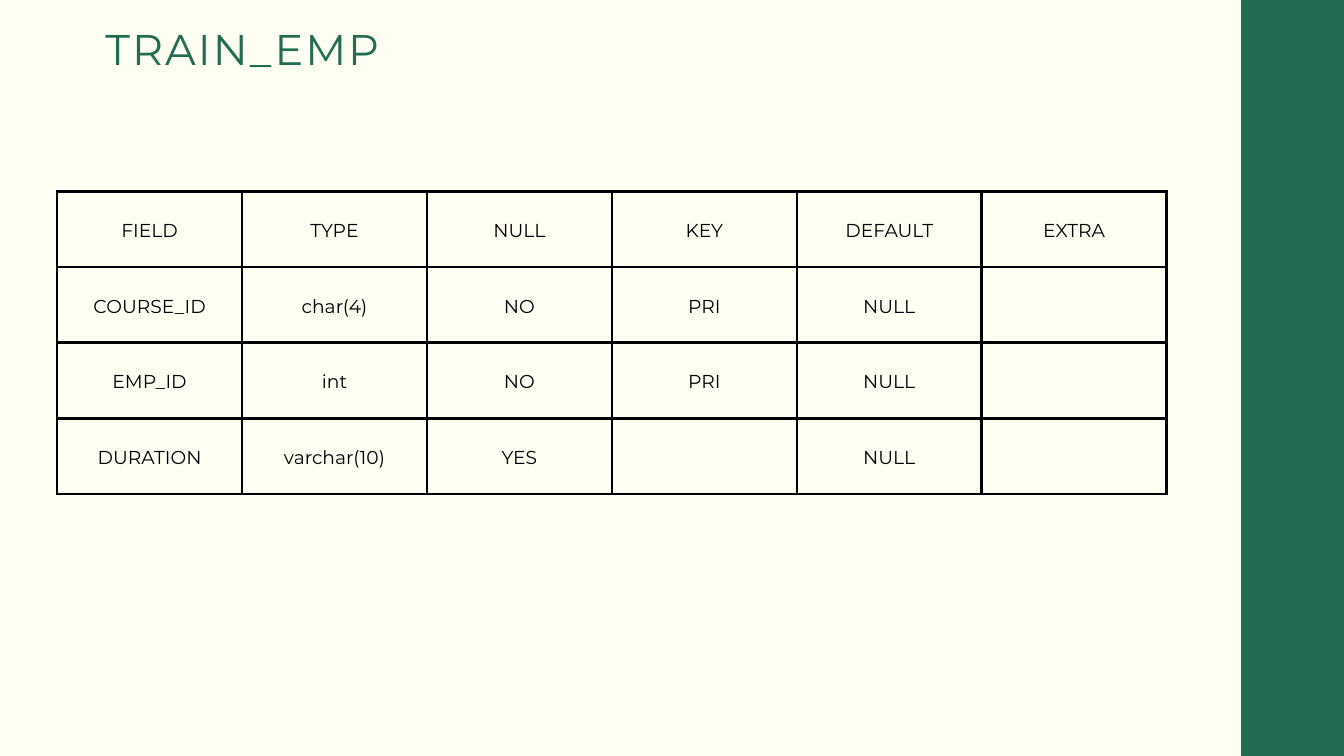
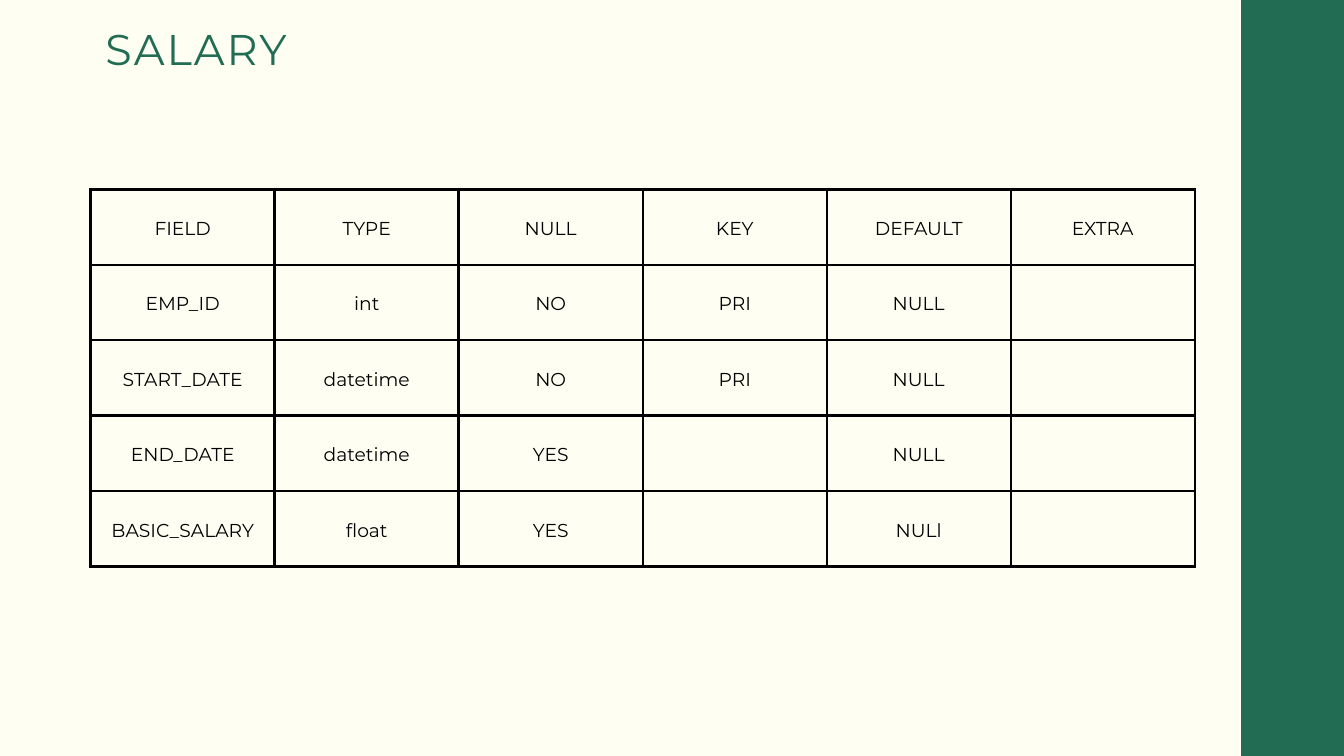
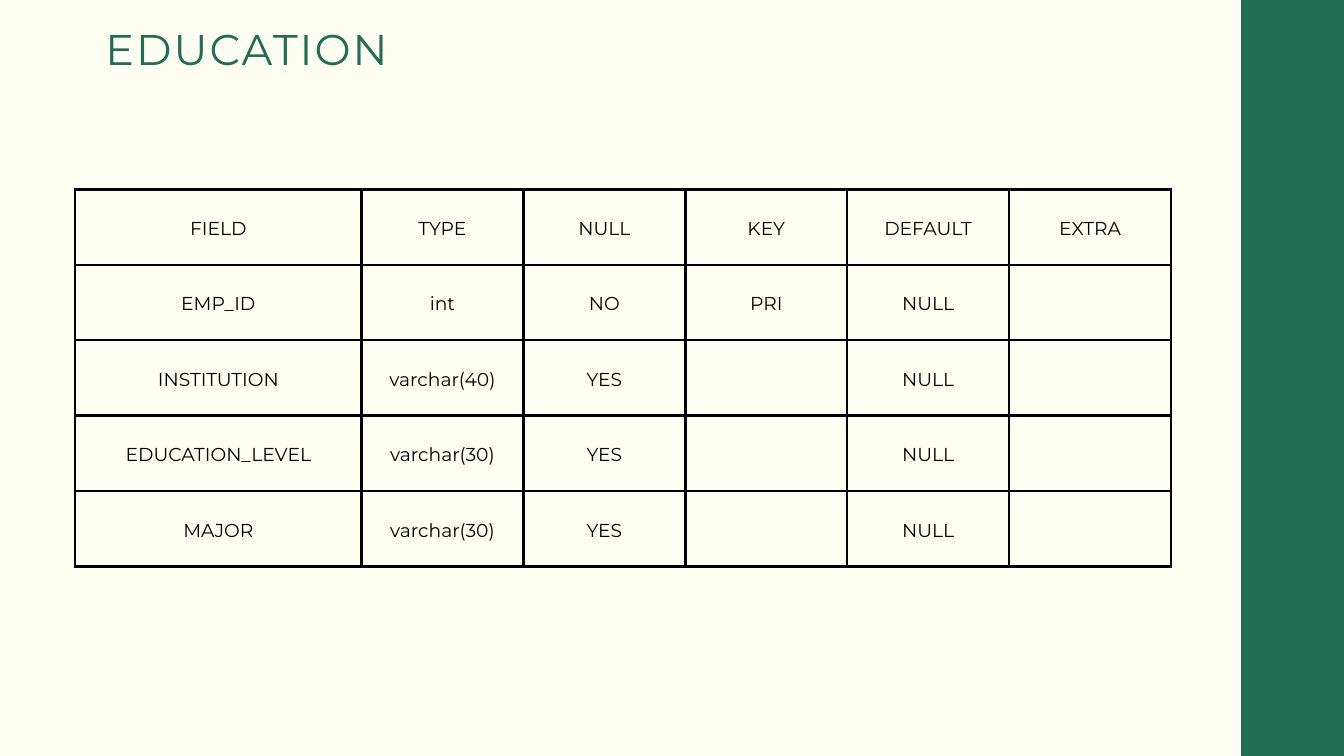
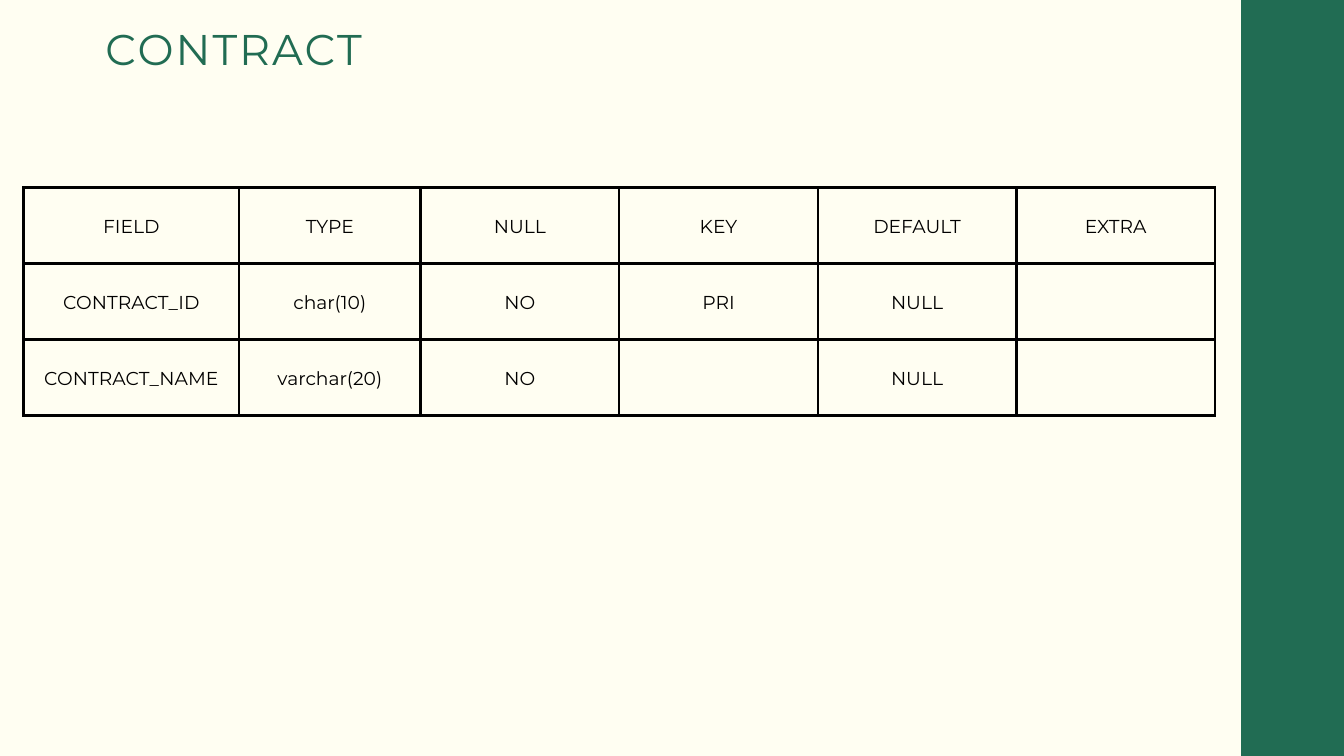
"""Build four slides, each showing the fields of one database table."""
import lxml.etree
import pptx
import pptx.dml.color
import pptx.enum.shapes
import pptx.enum.text
import pptx.oxml.ns
import pptx.util

Pt = pptx.util.Pt
qn = pptx.oxml.ns.qn
WIDE, HIGH = 1440, 810
HEAD = ["FIELD", "TYPE", "NULL", "KEY", "DEFAULT", "EXTRA"]


def tint(code):
    return pptx.dml.color.RGBColor.from_string(code)


class Deck:
    font = "Montserrat"
    cream, green, black = "FFFEF2", "216C53", "000000"

    def __init__(self):
        self.file = pptx.Presentation()
        self.file.slide_width = Pt(WIDE)
        self.file.slide_height = Pt(HIGH)
        self.slide = None

    def page(self):
        self.slide = self.file.slides.add_slide(self.file.slide_layouts[5])
        fill = self.slide.background.fill
        fill.solid()
        fill.fore_color.rgb = tint(self.cream)

    def band(self):
        kind = pptx.enum.shapes.MSO_SHAPE.RECTANGLE
        band = self.slide.shapes.add_shape(kind, Pt(1329.8), 0, Pt(306.5), Pt(HIGH))
        band.shadow.inherit = False
        band.fill.solid()
        band.fill.fore_color.rgb = tint(self.green)
        band.line.fill.background()

    def label(self, frame, text, size, color, space, align):
        frame.text = text
        line = frame.paragraphs[0]
        line.alignment = align
        line.line_spacing = Pt(space)
        for run in line.runs:
            run.font.name = self.font
            run.font.size = Pt(size)
            run.font.color.rgb = tint(color)

    def title(self, text, width):
        box = self.slide.shapes.title
        box.left, box.top, box.width, box.height = Pt(113), Pt(15.1), Pt(width), Pt(61.2)
        frame = box.text_frame
        frame.margin_left = frame.margin_right = frame.margin_top = frame.margin_bottom = 0
        frame.vertical_anchor = pptx.enum.text.MSO_ANCHOR.TOP
        frame.auto_size = pptx.enum.text.MSO_AUTO_SIZE.SHAPE_TO_FIT_TEXT
        frame.word_wrap = True
        self.label(frame, text, 46, self.green, 64.4, pptx.enum.text.PP_ALIGN.LEFT)
        frame.paragraphs[0].runs[0]._r.get_or_add_rPr().set("spc", "220")

    def edge(self, cell):
        props = cell._tc.get_or_add_tcPr()
        for side in ("a:lnL", "a:lnR", "a:lnT", "a:lnB"):
            line = lxml.etree.SubElement(props, qn(side), w=str(Pt(3)))
            fill = lxml.etree.SubElement(line, qn("a:solidFill"))
            lxml.etree.SubElement(fill, qn("a:srgbClr"), val=self.black)

    def table(self, left, top, cols, step, rows):
        rows = [HEAD] + rows
        frame = self.slide.shapes.add_table(
            len(rows), len(cols), Pt(left), Pt(top), Pt(sum(cols)), Pt(step * len(rows)))
        grid = frame.table
        grid.first_row = grid.horz_banding = False
        for col, width in zip(grid.columns, cols):
            col.width = Pt(width)
        for row, texts in zip(grid.rows, rows):
            row.height = Pt(step)
            for cell, text in zip(row.cells, texts):
                self.edge(cell)
                cell.fill.background()
                cell.vertical_anchor = pptx.enum.text.MSO_ANCHOR.MIDDLE
                cell.margin_left = cell.margin_right = Pt(15)
                cell.margin_top = cell.margin_bottom = Pt(15)
                if text:
                    self.label(cell.text_frame, text, 20, self.black, 28,
                               pptx.enum.text.PP_ALIGN.CENTER)


PAGES = [
    ("TRAIN_EMP", 502, 61.2, 205.2, [198.12] * 6, 81, [
        ["COURSE_ID", "char(4)", "NO", "PRI", "NULL", ""],
        ["EMP_ID", "int", "NO", "PRI", "NULL", ""],
        ["DURATION", "varchar(10)", "YES", "", "NULL", ""],
    ]),
    ("SALARY", 502, 97.2, 203, [197.16] * 6, 80.8, [
        ["EMP_ID", "int", "NO", "PRI", "NULL", ""],
        ["START_DATE", "datetime", "NO", "PRI", "NULL", ""],
        ["END_DATE", "datetime", "YES", "", "NULL", ""],
        ["BASIC_SALARY", "float", "YES", "", "NULl", ""],
    ]),
    ("EDUCATION", 572, 80.6, 203, [306.7] + [173.5] * 5, 80.8, [
        ["EMP_ID", "int", "NO", "PRI", "NULL", ""],
        ["INSTITUTION", "varchar(40)", "YES", "", "NULL", ""],
        ["EDUCATION_LEVEL", "varchar(30)", "YES", "", "NULL", ""],
        ["MAJOR", "varchar(30)", "YES", "", "NULL", ""],
    ]),
    ("CONTRACT", 502, 25.2, 200.9, [231, 194.4] + [212.8] * 4, 81.4, [
        ["CONTRACT_ID", "char(10)", "NO", "PRI", "NULL", ""],
        ["CONTRACT_NAME", "varchar(20)", "NO", "", "NULL", ""],
    ]),
]


def main():
    deck = Deck()
    for name, width, left, top, cols, step, rows in PAGES:
        deck.page()
        deck.band()
        deck.table(left, top, cols, step, rows)
        deck.title(name, width)
    deck.file.save("out.pptx")


if __name__ == "__main__":
    main()
